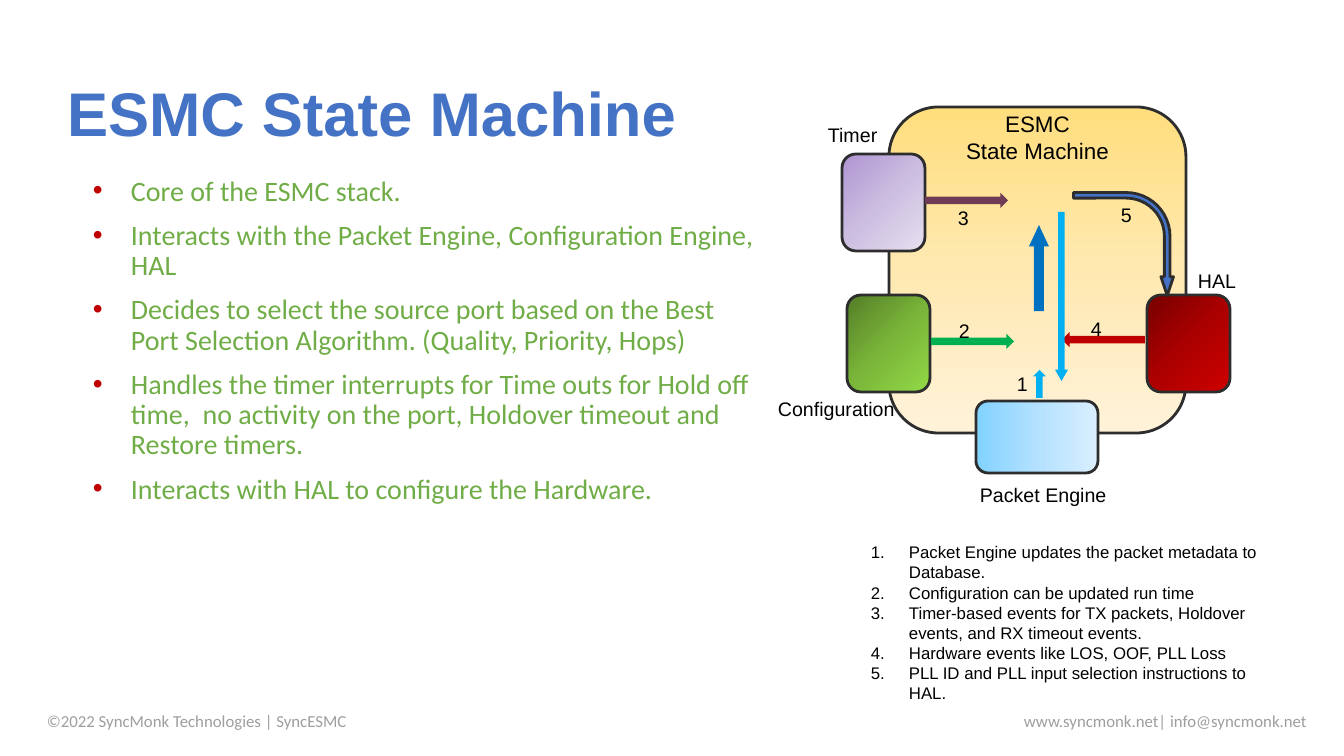
"""Build the ESMC State Machine slide."""
from pptx import Presentation, util as u
from pptx.dml.color import RGBColor
from pptx.enum import shapes, text
from pptx.oxml import parse_xml
from pptx.oxml.ns import nsdecls, qn

PX = 914400 / 100.8
DARK, BLACK, GREY, BLUE = "2D2D2D", "000000", "9E9E9E", "4472C4"
TITLE = "ESMC State Machine"
POINTS = [
    "Core of the ESMC stack.",
    "Interacts with the Packet Engine, Configuration Engine, HAL",
    "Decides to select the source port based on the Best Port Selection Algorithm. (Quality, Priority, Hops)",
    "Handles the timer interrupts for Time outs for Hold off time,  no activity on the port, "
    "Holdover timeout and Restore timers.",
    "Interacts with HAL to configure the Hardware.",
]
STEPS = [
    "Packet Engine updates the packet metadata to Database.",
    "Configuration can be updated run time",
    "Timer-based events for TX packets, Holdover events, and RX timeout events.",
    "Hardware events like LOS, OOF, PLL Loss",
    "PLL ID and PLL input selection instructions to HAL.",
]
FOOTERS = [
    (37, "©2022 SyncMonk Technologies | SyncESMC", text.PP_ALIGN.LEFT),
    (863, "www.syncmonk.net| info@syncmonk.net", text.PP_ALIGN.RIGHT),
]
BLOCKS = [
    ((889, 107, 297, 326), ("FFDE7E", "FFE9B1", "FFF2D9"), 90),
    ((847, 295, 83, 97), ("547D28", "7AB539", "92D946"), 45),
    ((1147, 295, 83, 97), ("770000", "AC0000", "CE0000"), 45),
    ((976, 401, 122, 72), ("81D2FF", "B3E1FF", "DAEFFF"), 0),
    ((842, 154, 83, 97), ("AF94D2", "CCBEE1", "E6E0EF"), 45),
]
ARROWS = [
    ((1033, 370, 13, 28), "00B0F0", 0, 0.5),
    ((965, 300, 15, 83), "00B050", 90, 0.5),
    ((1096, 298, 15, 83), "C00000", 270, 0.5),
    ((1029, 225, 20, 86), "0070C0", 0, 1.07),
    ((959, 159, 15, 83), "6F3B55", 90, 0.5),
    ((1055, 212, 13, 169), "00B0F0", 180, 0.87),
]
LABELS = [
    (970, 478, "Packet Engine"), (768, 392, "Configuration"), (818, 118, "Timer"),
    (1188, 264, "HAL"), (1007, 367, "1"), (949, 314, "2"), (948, 201, "3"),
    (1081, 312, "4"), (1111, 198, "5"),
]


def px(n):
    return u.Emu(round(n * PX))


def color(value):
    return RGBColor.from_string(value)


def style(p, size, name, value, align=text.PP_ALIGN.LEFT, bold=False):
    p.alignment = align
    p.font.size, p.font.name, p.font.bold = u.Pt(size), name, bold
    p.font.color.rgb = color(value)


def add_text(slide, box, lines, size, name, value, align=text.PP_ALIGN.LEFT):
    tf = slide.shapes.add_textbox(*map(px, box)).text_frame
    tf.word_wrap = True
    tf.text = "\n".join(lines)
    for p in tf.paragraphs:
        style(p, size, name, value, align)
    return tf


def add_bullets(tf, margin, indent, bullet, value):
    for p in tf.paragraphs:
        pPr = p._p.get_or_add_pPr()
        pPr.set("marL", str(px(margin)))
        pPr.set("indent", str(px(-indent)))
        marks = (f'<a:buClr {nsdecls("a")}><a:srgbClr val="{value}"/></a:buClr>',
                 f'<a:buFont {nsdecls("a")} typeface="Arial"/>', bullet)
        for i, mark in enumerate(marks):
            pPr.insert(i, parse_xml(mark))


def add_shape(slide, kind, box, adjust, rotation=0, fill=None, outlined=False):
    sp = slide.shapes.add_shape(kind, *map(px, box))
    sp.shadow.inherit = False
    sp.rotation = rotation
    for i, value in enumerate(adjust):
        sp.adjustments[i] = value
    if fill:
        sp.fill.solid()
        sp.fill.fore_color.rgb = color(fill)
    if outlined:
        sp.line.color.rgb = color(DARK)
        sp.line.width = u.Pt(2)
    else:
        sp.line.fill.background()
    return sp


def set_gradient(sp, stops, angle):
    marks = "".join(f'<a:gs pos="{i * 50000}"><a:srgbClr val="{c}"/></a:gs>' for i, c in enumerate(stops))
    grad = parse_xml(f'<a:gradFill {nsdecls("a")} rotWithShape="1"><a:gsLst>{marks}</a:gsLst>'
                     f'<a:lin ang="{angle * 60000}" scaled="0"/></a:gradFill>')
    sp._element.spPr.find(qn("a:prstGeom")).addnext(grad)


def main():
    prs = Presentation()
    prs.slide_width, prs.slide_height = px(1344), px(756)
    slide = prs.slides.add_slide(prs.slide_layouts[5])

    title = slide.shapes.title
    title.left, title.top, title.width, title.height = map(px, (57, 23, 918, 127))
    tf = title.text_frame
    tf.text = TITLE
    tf.auto_size = text.MSO_AUTO_SIZE.NONE
    tf.vertical_anchor = text.MSO_ANCHOR.BOTTOM
    tf.margin_bottom = 0
    tf.paragraphs[0].line_spacing = 0.9
    style(tf.paragraphs[0], 44, "Arial", BLUE, bold=True)

    tf = add_text(slide, (58, 172, 710, 499), POINTS, 20, "Calibri", "70AD47")
    add_bullets(tf, 63, 38, f'<a:buChar {nsdecls("a")} char="•"/>', "C00000")
    for i, p in enumerate(tf.paragraphs):
        p.line_spacing = 0.9
        p.space_before = u.Pt(10 if i else 0)

    for left, line, align in FOOTERS:
        tf = add_text(slide, (left, 701, 454, 40), [line], 12, "Calibri", GREY, align)
        tf.vertical_anchor = text.MSO_ANCHOR.MIDDLE

    kinds = shapes.MSO_SHAPE
    for box, stops, angle in BLOCKS:
        set_gradient(add_shape(slide, kinds.ROUNDED_RECTANGLE, box, [0.167], outlined=True), stops, angle)
    add_text(slide, (889, 105, 297, 62), ["ESMC", "State Machine"], 16, "Arial", BLACK, text.PP_ALIGN.CENTER)
    add_shape(slide, kinds.BENT_ARROW, (1072, 194, 103, 100), [0.056, 0.063, 0.188, 0.438], 90, BLUE, True)
    for box, fill, rotation, head in ARROWS:
        add_shape(slide, kinds.UP_ARROW, box, [0.5, head], rotation, fill)
    for left, top, label in LABELS:
        add_text(slide, (left, top, 150, 30), [label], 14, "Arial", BLACK)

    tf = add_text(slide, (861, 537, 425, 173), STEPS, 12, "Arial", BLACK)
    add_bullets(tf, 38, 38, f'<a:buAutoNum {nsdecls("a")} type="arabicPeriod"/>', BLACK)
    prs.save("out.pptx")


if __name__ == "__main__":
    main()
